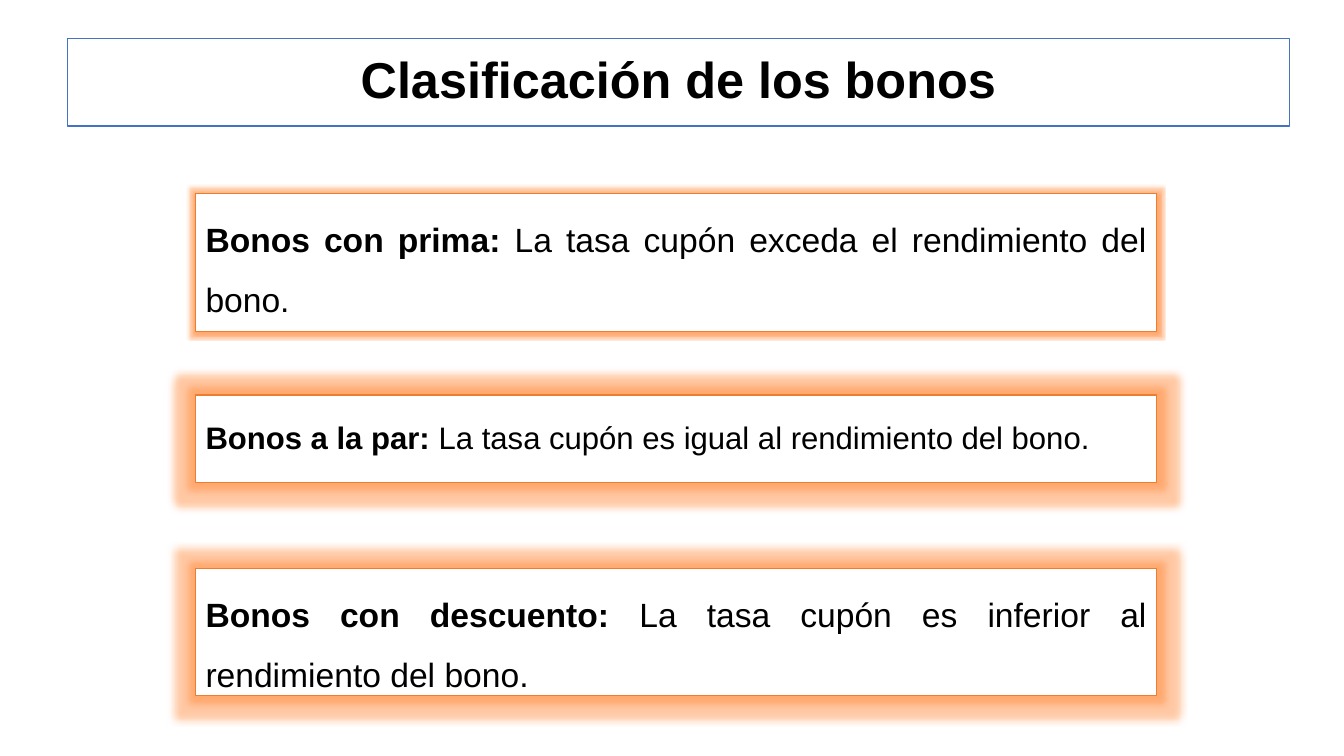
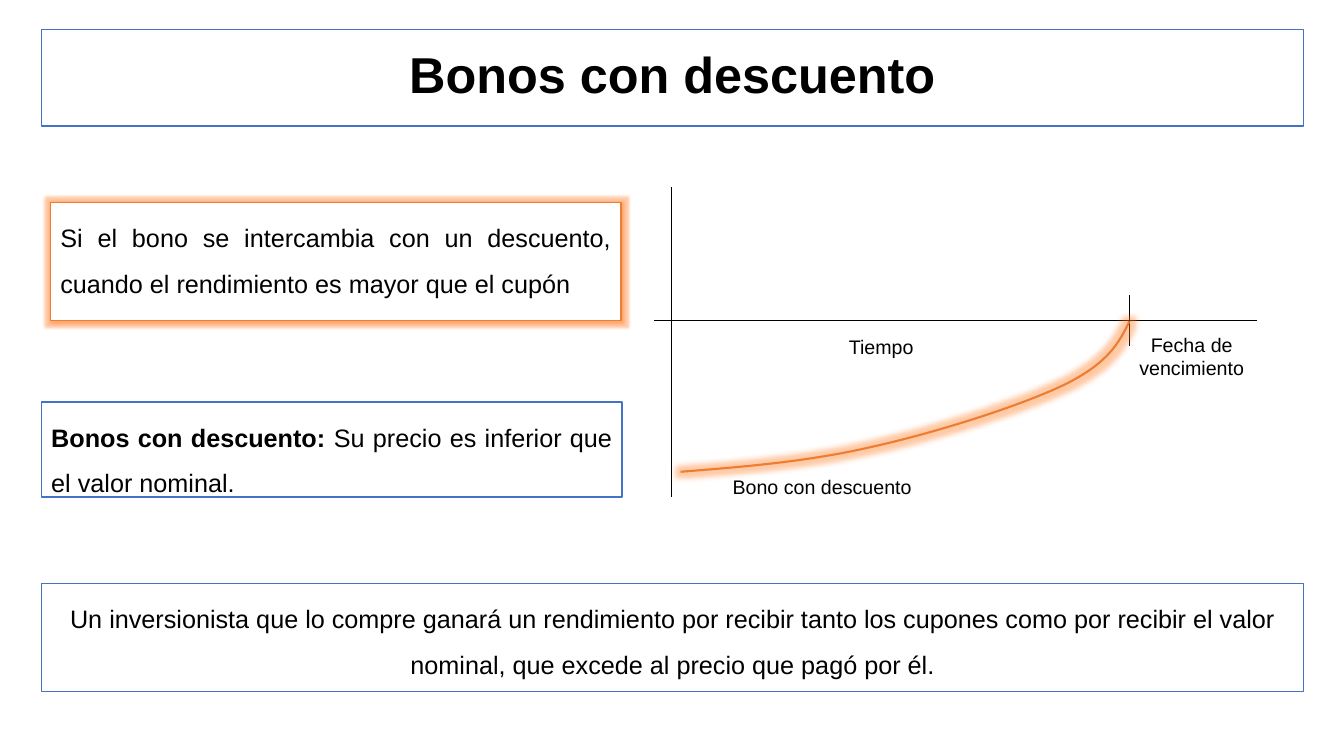
from itertools import chain
from lxml.etree import SubElement
from pptx import Presentation
from pptx.dml.color import RGBColor
from pptx.enum.shapes import MSO_CONNECTOR, MSO_SHAPE
from pptx.enum.text import MSO_ANCHOR, MSO_AUTO_SIZE, PP_ALIGN
from pptx.oxml.ns import qn
from pptx.util import Inches, Pt

# Content: boxes are (place, line colour, glow radius, size, alignment, runs)
COLORS = {"text": "000000", "paper": "FFFFFF", "blue": "4472C4", "orange": "ED7D31"}
FONT = "Arial"
JUSTIFY, CENTER = PP_ALIGN.JUSTIFY, PP_ALIGN.CENTER
SMALL_GLOW, CURVE_GLOW, LARGE_GLOW = 3, 8, 11

SLIDES = [
    {
        "title": "Clasificación de los bonos",
        "title_place": (0.67, 0.38, 12.12, 0.87),
        "boxes": [
            ((1.94, 1.92, 9.53, 1.37), "orange", SMALL_GLOW, 24, JUSTIFY,
             [("Bonos con prima: ", True),
              ("La tasa cupón exceda el rendimiento del bono.", False)]),
            ((1.94, 3.92, 9.53, 0.87), "orange", LARGE_GLOW, 22.2, JUSTIFY,
             [("Bonos a la par: ", True),
              ("La tasa cupón es igual al rendimiento del bono.", False)]),
            ((1.94, 5.64, 9.53, 1.26), "orange", LARGE_GLOW, 24, JUSTIFY,
             [("Bonos con descuento: ", True),
              ("La tasa cupón es inferior al rendimiento del bono.", False)]),
        ],
    },
    {
        "title": "Bonos con descuento",
        "title_place": (0.41, 0.29, 12.52, 0.96),
        "boxes": [
            ((0.5, 2.01, 5.66, 1.17), "orange", SMALL_GLOW, 18, JUSTIFY,
             [("Si el bono se intercambia con un descuento, cuando el "
               "rendimiento es mayor que el cupón", False)]),
            ((0.41, 3.99, 5.76, 0.94), "blue", None, 18, JUSTIFY,
             [("Bonos con descuento: ", True),
              ("Su precio es inferior que el valor nominal.", False)]),
            ((0.41, 5.79, 12.52, 1.07), "blue", None, 18, CENTER,
             [("Un inversionista que lo compre ganará un rendimiento por recibir "
               "tanto los cupones como por recibir el valor nominal, que excede "
               "al precio que pagó por él.", False)]),
        ],
    },
]

AXES = [  # price axis, time axis, maturity mark
    (6.66, 1.86, 6.66, 4.93),
    (6.49, 3.18, 12.47, 3.18),
    (11.2, 2.93, 11.2, 3.43),
]
AXIS_LABELS = [
    ("Fecha de vencimiento", (11.07, 3.25, 1.5, 0.45)),
    ("Bono con descuento", (6.82, 4.66, 2.67, 0.27)),
    ("Tiempo", (7.99, 3.27, 1.5, 0.27)),
]
CURVE_START = (11.2, 3.19)
CURVE_SEGMENTS = [  # two control points and an end point each
    [(11.1, 3.4), (10.99, 3.6), (10.57, 3.81)],
    [(10.14, 4.02), (9.29, 4.29), (8.66, 4.43)],
    [(8.02, 4.58), (7.38, 4.63), (6.75, 4.68)],
]


def color(name):
    return RGBColor.from_string(COLORS[name])


def inches(values):
    return [Inches(value) for value in values]


def write(shape, runs, size, align=CENTER, spacing=1.0, before=0, anchor=MSO_ANCHOR.TOP):
    """Fill a shape with one paragraph of (text, bold) runs."""
    frame = shape.text_frame
    frame.word_wrap = True
    frame.auto_size = MSO_AUTO_SIZE.NONE
    frame.vertical_anchor = anchor
    paragraph = frame.paragraphs[0]
    paragraph.alignment = align
    paragraph.line_spacing = spacing
    paragraph.space_before = Pt(before)
    for text, bold in runs:
        run = paragraph.add_run()
        run.text = text
        run.font.name = FONT
        run.font.size = Pt(size)
        run.font.bold = bold
        run.font.color.rgb = color("text")


def outline(shape, line_color, width=1):
    shape.line.color.rgb = color(line_color)
    shape.line.width = Pt(width)


def paint(shape, line_color):
    shape.fill.solid()
    shape.fill.fore_color.rgb = color("paper")
    outline(shape, line_color)


def set_effects(shape, glow=None):
    """Drop the theme shadow and add a soft orange glow of the given points."""
    effects = SubElement(shape._element.spPr, qn("a:effectLst"))
    if glow:
        halo = SubElement(effects, qn("a:glow"), rad=str(Pt(glow)))
        tint = SubElement(halo, qn("a:srgbClr"), val=COLORS["orange"])
        SubElement(tint, qn("a:satMod"), val="175000")
        SubElement(tint, qn("a:alpha"), val="40000")


def add_title(slide, text, place):
    title = slide.shapes.title
    title.left, title.top, title.width, title.height = inches(place)
    paint(title, "blue")
    write(title, [(text, True)], 36, spacing=0.9, anchor=MSO_ANCHOR.MIDDLE)


def add_box(slide, place, line_color, glow, size, align, runs):
    box = slide.shapes.add_shape(MSO_SHAPE.RECTANGLE, *inches(place))
    paint(box, line_color)
    set_effects(box, glow)
    write(box, runs, size, align=align, spacing=1.5, before=10)


def add_curve(shapes):
    # The builder rounds to whole units, so points go in as full lengths
    builder = shapes.build_freeform(*inches(CURVE_START))
    points = [inches(point) for point in chain.from_iterable(CURVE_SEGMENTS)]
    builder.add_line_segments(points, close=False)
    curve = builder.convert_to_shape()
    # Turn every three straight steps into one Bezier segment
    steps = list(curve._element.iter(qn("a:lnTo")))
    outline_element = steps[0].getparent()
    for first in range(0, len(steps), 3):
        bezier = SubElement(outline_element, qn("a:cubicBezTo"))
        for step in steps[first:first + 3]:
            bezier.append(step[0])
            outline_element.remove(step)
    curve.fill.background()
    outline(curve, "orange", 1.5)
    set_effects(curve, CURVE_GLOW)


def add_price_diagram(slide):
    shapes = slide.shapes.add_group_shape().shapes
    for ends in AXES:
        axis = shapes.add_connector(MSO_CONNECTOR.STRAIGHT, *inches(ends))
        outline(axis, "text")
        set_effects(axis)
    add_curve(shapes)
    for text, place in AXIS_LABELS:
        write(shapes.add_textbox(*inches(place)), [(text, False)], 14)


# Build the slides
presentation = Presentation()
presentation.slide_width, presentation.slide_height = Inches(13.33), Inches(7.5)
for content in SLIDES:
    slide = presentation.slides.add_slide(presentation.slide_layouts[5])
    add_title(slide, content["title"], content["title_place"])
    for box in content["boxes"]:
        add_box(slide, *box)
add_price_diagram(presentation.slides[1])
presentation.save("out.pptx")
